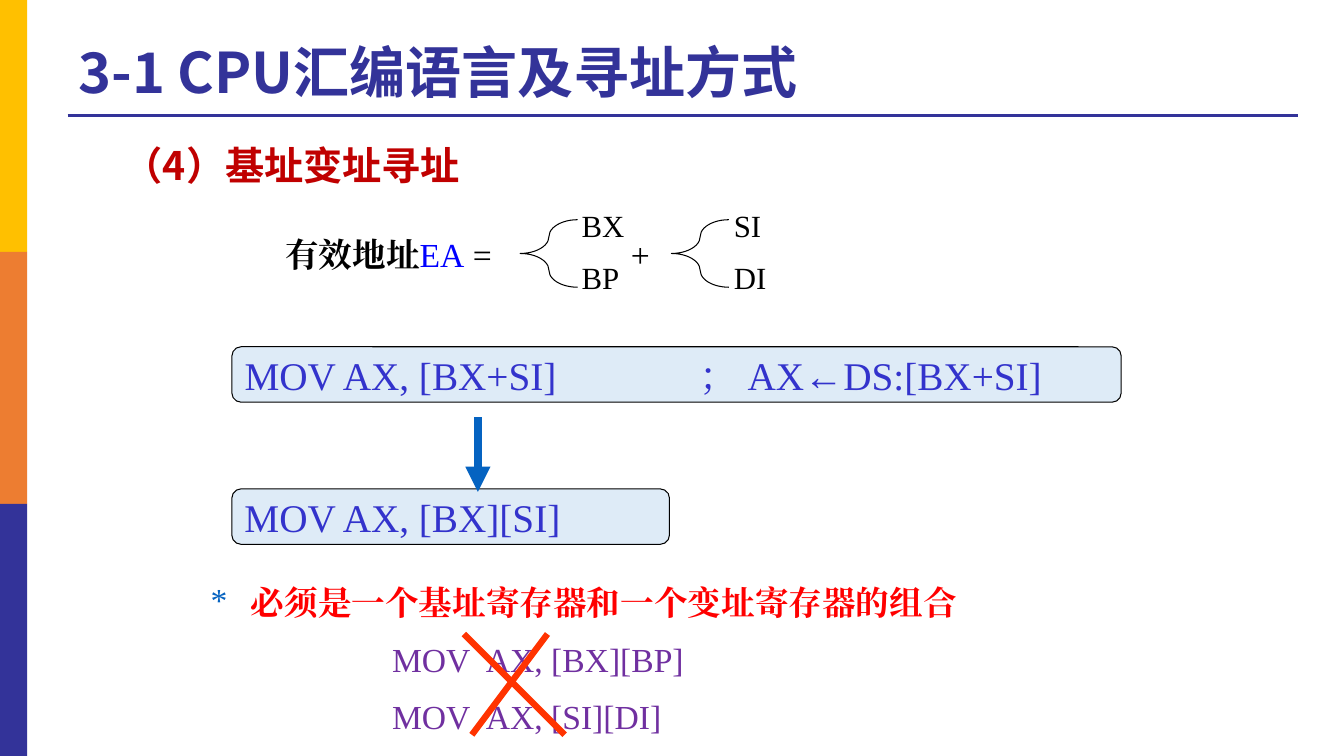
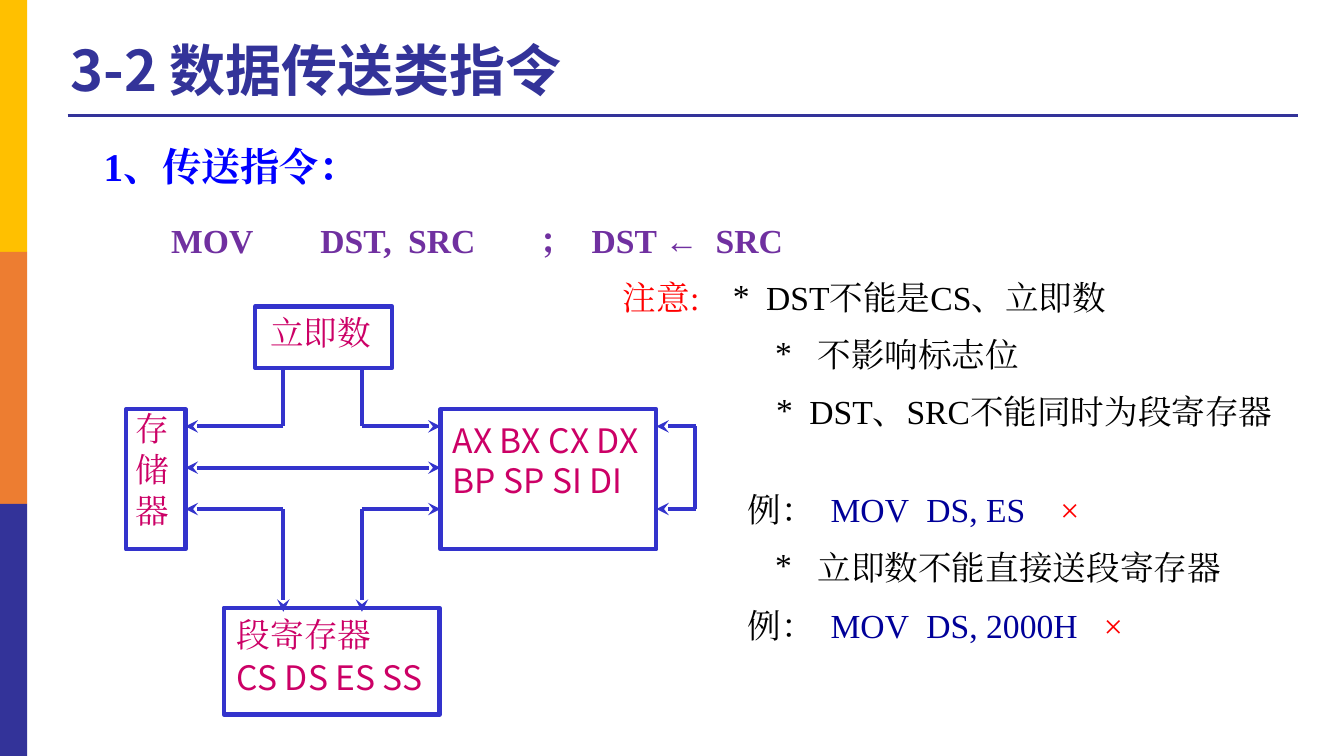
"""Build two lecture slides on CPU addressing modes and the MOV instruction."""
import lxml.etree
import pptx
import pptx.dml.color
import pptx.enum.shapes
import pptx.enum.text
import pptx.oxml.ns
import pptx.util

PX = 9144
RGB = pptx.dml.color.RGBColor
SHAPE = pptx.enum.shapes.MSO_SHAPE
ANCHOR = pptx.enum.text.MSO_ANCHOR
qn = pptx.oxml.ns.qn

SANS, SERIF = "Noto Sans CJK SC", "Times New Roman"
INDIGO = RGB(0x33, 0x33, 0x99)
GOLD = RGB(0xFF, 0xC0, 0x00)
ORANGE = RGB(0xED, 0x7D, 0x31)
BLACK = RGB(0x00, 0x00, 0x00)
BLUE = RGB(0x00, 0x00, 0xFF)
RED = RGB(0xFF, 0x00, 0x00)
DARK_RED = RGB(0xC0, 0x00, 0x00)
VERMILION = RGB(0xFF, 0x33, 0x00)
PURPLE = RGB(0x70, 0x30, 0xA0)
ROYAL = RGB(0x33, 0x33, 0xCC)
LINK_BLUE = RGB(0x05, 0x63, 0xC1)
PALE_BLUE = RGB(0xDE, 0xEB, 0xF7)
NAVY = RGB(0x00, 0x00, 0x99)
MAGENTA = RGB(0xCC, 0x00, 0x66)


def write(shape, lines, size, colors, font=SERIF, bold=False, tabs=()):
    """Fill a shape with lines of runs; the n-th run of a line takes the n-th colour."""
    frame = shape.text_frame
    frame.word_wrap = True
    for number, pieces in enumerate(lines):
        paragraph = frame.add_paragraph() if number else frame.paragraphs[0]
        paragraph.alignment = pptx.enum.text.PP_ALIGN.LEFT
        properties = paragraph._p.get_or_add_pPr()
        before = lxml.etree.SubElement(properties, qn("a:spcBef"))
        lxml.etree.SubElement(before, qn("a:spcPct"), val="50000")
        if tabs:
            stops = lxml.etree.SubElement(properties, qn("a:tabLst"))
            for stop in tabs:
                lxml.etree.SubElement(stops, qn("a:tab"), pos=str(stop * PX), algn="l")
        for piece, color in zip(pieces, colors):
            run = paragraph.add_run()
            run.text = piece
            run.font.size = pptx.util.Pt(size)
            run.font.name = font
            run.font.bold = bold
            run.font.color.rgb = color
            lxml.etree.SubElement(run._r.get_or_add_rPr(), qn("a:ea"), typeface=font)
    return frame


def link(slide, ends, color, width, head=None, tail=None):
    """Draw a straight line, with arrowheads if named."""
    line = slide.shapes.add_connector(
        pptx.enum.shapes.MSO_CONNECTOR.STRAIGHT, *[end * PX for end in ends])
    line.line.color.rgb = color
    line.line.width = pptx.util.Pt(width)
    for tag, arrow in (("a:headEnd", head), ("a:tailEnd", tail)):
        if arrow:
            lxml.etree.SubElement(line.line._get_or_add_ln(), qn(tag), type=arrow)
    lxml.etree.SubElement(line._element.spPr, qn("a:effectLst"))


deck = pptx.Presentation()
deck.slide_width, deck.slide_height = 1333 * PX, 750 * PX
addressing, transfer = [deck.slides.add_slide(deck.slide_layouts[6]) for _ in range(2)]

for slide, heading, left, top in (
        (addressing, "3-1 CPU汇编语言及寻址方式", 68, 31),
        (transfer, "3-2 数据传送类指令", 60, 29)):
    link(slide, (67, 115, 1287, 115), INDIGO, 2.25)
    for position, color in enumerate((GOLD, ORANGE, INDIGO)):
        band = slide.shapes.add_shape(
            SHAPE.RECTANGLE, 0, position * 250 * PX, 27 * PX, 250 * PX)
        band.shadow.inherit = False
        band.fill.solid()
        band.fill.fore_color.rgb = color
        band.line.fill.background()
    title = slide.shapes.add_textbox(left * PX, top * PX, 991 * PX, 87 * PX)
    title_frame = write(title, [(heading,)], 40, [INDIGO], SANS, True)
    title_frame.vertical_anchor = ANCHOR.MIDDLE
    title_frame.paragraphs[0].line_spacing = 0.9

for left in (516, 666):
    brace = addressing.shapes.add_shape(
        SHAPE.LEFT_BRACE, left * PX, 218 * PX, 57 * PX, 67 * PX)
    brace.shadow.inherit = False
    brace.adjustments[0], brace.adjustments[1] = 1, 0.5
    brace.fill.background()
    brace.line.color.rgb = BLACK
    brace.line.width = pptx.util.Pt(0.75)

for top, width, code in (
        (344, 882, "MOV AX, [BX+SI]\t；\tAX←DS:[BX+SI]"),
        (485, 434, "MOV AX, [BX][SI]")):
    instruction = addressing.shapes.add_shape(
        SHAPE.FLOWCHART_ALTERNATE_PROCESS, 230 * PX, top * PX, width * PX, 55 * PX)
    instruction.shadow.inherit = False
    instruction.fill.solid()
    instruction.fill.fore_color.rgb = PALE_BLUE
    instruction.line.color.rgb = BLACK
    instruction.line.width = pptx.util.Pt(0.75)
    write(instruction, [(code,)], 28, [ROYAL], tabs=(451, 499))
    instruction.text_frame.vertical_anchor = ANCHOR.MIDDLE

frames = []
for slide, box, lines, size, colors, font, bold, tabs in (
        (addressing, (113, 135, 1000, 57), [("（4）基址变址寻址",)],
         28, [DARK_RED], SANS, True, ()),
        (addressing, (273, 227, 235, 51), [("有效地址", "EA", " =")],
         24, [BLACK, BLUE, BLACK], SERIF, False, ()),
        (addressing, (567, 200, 92, 102), [("BX",), ("BP",)], 22, [BLACK], SERIF, False, ()),
        (addressing, (616, 227, 58, 50), [("+",)], 24, [BLACK], SERIF, False, ()),
        (addressing, (718, 200, 92, 102), [("SI",), ("DI",)], 22, [BLACK], SERIF, False, ()),
        (addressing, (199, 572, 1000, 50), [("必须是一个基址寄存器和一个变址寄存器的组合",)],
         24, [RED], SERIF, True, ()),
        (addressing, (379, 629, 400, 108), [("MOV\tAX, [BX][BP]",), ("MOV\tAX, [SI][DI]",)],
         24, [PURPLE], SERIF, False, (93,)),
        (transfer, (93, 136, 305, 57), [("1、传送指令：",)], 28, [BLUE], SERIF, True, ()),
        (transfer, (160, 213, 800, 50), [("MOV\tDST,\tSRC\t；\tDST ←\tSRC",)],
         24, [PURPLE], SERIF, True, (148, 235, 365, 417, 540)),
        (transfer, (608, 270, 110, 50), [("注意:",)], 24, [RED], SERIF, False, ()),
        (transfer, (717, 270, 616, 320),
         [("DST不能是CS、立即数",), ("不影响标志位",),
          ("DST、SRC不能同时为段寄存器",), ("立即数不能直接送段寄存器",)],
         24, [BLACK], SERIF, False, ()),
        (transfer, (732, 480, 500, 163),
         [("例：\t", "MOV\tDS, ES\t", "×"), ("例：\t", "MOV\tDS, 2000H\t", "×")],
         24, [BLACK, NAVY, RED], SERIF, False, (82, 177, 310, 353))):
    text_box = slide.shapes.add_textbox(*[length * PX for length in box])
    frames.append(write(text_box, lines, size, colors, font, bold, tabs))

effective_address, rule, notes, examples = frames[1], frames[5], frames[10], frames[11]
effective_address.paragraphs[0].runs[0].font.bold = True
notes.paragraphs[3].space_before = pptx.util.Pt(82)
examples.paragraphs[1].space_before = pptx.util.Pt(54)

starred = (*rule.paragraphs, *notes.paragraphs)
star_colors = ("0563C1", "000000", "000000", "000000", "000000")
for paragraph, star_color, margin, hang in zip(
        starred, star_colors, (40, 33, 84, 76, 84), (40, 33, 42, 33, 42)):
    properties = paragraph._p.get_or_add_pPr()
    properties.set("marL", str(margin * PX))
    properties.set("indent", str(-hang * PX))
    bullet_color = lxml.etree.SubElement(properties, qn("a:buClr"))
    lxml.etree.SubElement(bullet_color, qn("a:srgbClr"), val=star_color)
    lxml.etree.SubElement(properties, qn("a:buFont"), typeface=SERIF)
    lxml.etree.SubElement(properties, qn("a:buChar"), char="*")

link(addressing, (474, 414, 474, 488), LINK_BLUE, 6, tail="triangle")
for stroke in ((543, 629, 468, 729), (460, 629, 560, 729)):
    link(addressing, stroke, VERMILION, 4.5)

for box, margins, lines, font, spacings in (
        ((253, 304, 136, 61), (15, 5), [("立即数",)], SERIF, (1,)),
        ((125, 406, 59, 139), (10, 13), [("存",), ("储",), ("器",)], SERIF, (0.6, 0.6, 0.6)),
        ((437, 406, 214, 139), (12, 11), [("AX BX CX DX",), ("BP SP SI DI",)], SANS, (1, 0.5)),
        ((222, 603, 214, 106), (13, 6), [("段寄存器",), ("CS DS ES SS",)], SERIF, (1, 0.6))):
    store = transfer.shapes.add_shape(SHAPE.RECTANGLE, *[length * PX for length in box])
    store.shadow.inherit = False
    store.fill.background()
    store.line.color.rgb = ROYAL
    store.line.width = pptx.util.Pt(3)
    store_frame = write(store, lines, 24, [MAGENTA], font)
    store_frame.vertical_anchor = ANCHOR.TOP
    store_frame.margin_left, store_frame.margin_top = [margin * PX for margin in margins]
    store_frame.margin_right = 0
    for paragraph, spacing in zip(store_frame.paragraphs, spacings):
        if spacing != 1:
            paragraph.line_spacing = spacing
store_frame.paragraphs[1].runs[0].font.name = SANS

UPPER, MIDDLE, LOWER = 423, 464, 505
for trunk, edge in ((281, 184), (359, 437)):
    link(transfer, (trunk, 367, trunk, UPPER), ROYAL, 3)
    link(transfer, (trunk, LOWER, trunk, 607), ROYAL, 3, tail="stealth")
    for level in (UPPER, LOWER):
        link(transfer, (trunk, level, edge, level), ROYAL, 3, tail="stealth")
link(transfer, (184, MIDDLE, 437, MIDDLE), ROYAL, 3, "stealth", "stealth")
for level in (UPPER, LOWER):
    link(transfer, (651, level, 690, level), ROYAL, 3, head="stealth")
link(transfer, (689, UPPER, 689, LOWER), ROYAL, 3)

deck.save("out.pptx")
